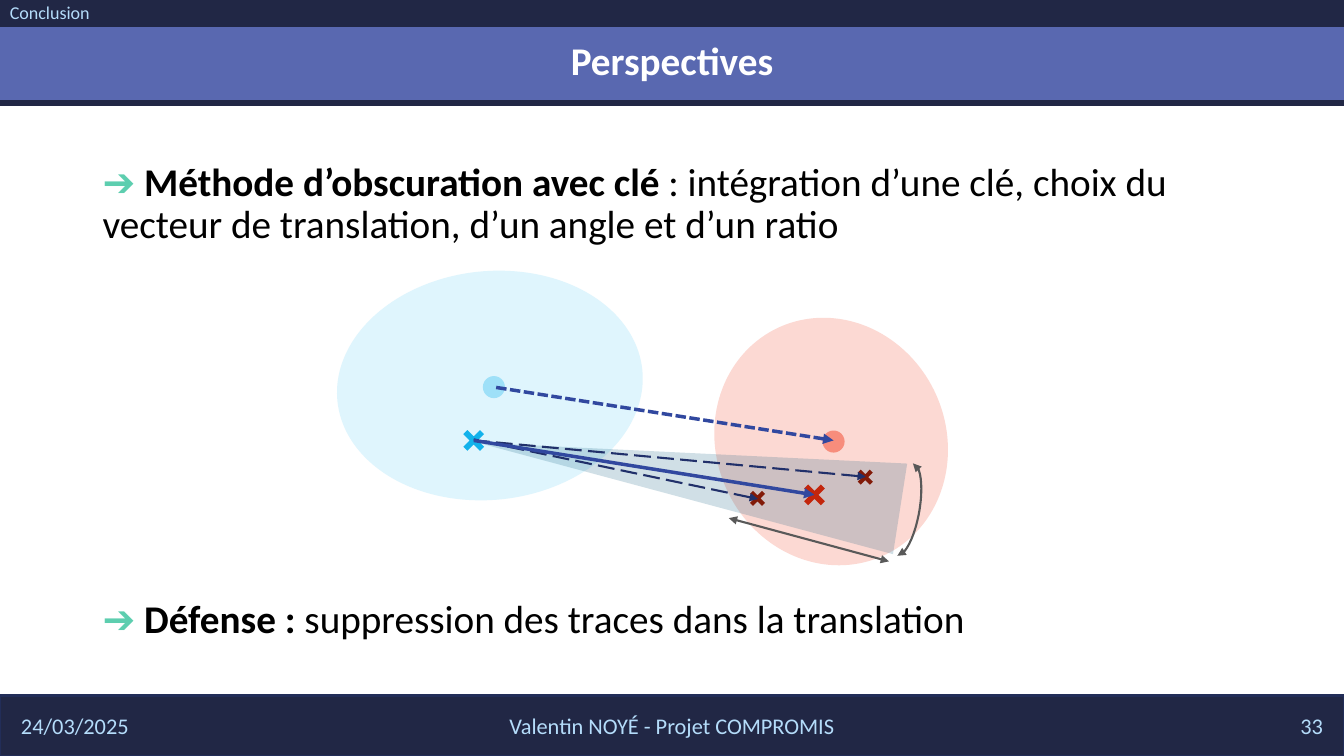
"""Builds the "Perspectives" slide on keyed obscuration and its defence."""
from pptx import Presentation
from pptx.dml.color import RGBColor
from pptx.enum.dml import MSO_LINE
from pptx.enum.shapes import MSO_CONNECTOR, MSO_SHAPE
from pptx.enum.text import MSO_ANCHOR, PP_ALIGN
from pptx.oxml.ns import qn
from pptx.util import Pt
from lxml.etree import SubElement

NAVY = RGBColor(0x21, 0x27, 0x45)
NAVY_EDGE = RGBColor(0x22, 0x2D, 0x58)
INDIGO = RGBColor(0x59, 0x68, 0xB0)
WHITE = RGBColor(0xFF, 0xFF, 0xFF)
BLACK = RGBColor(0x00, 0x00, 0x00)
MINT = RGBColor(0x5D, 0xCE, 0xAF)
PALE_BLUE = RGBColor(0xB4, 0xDC, 0xFA)
BLUE_CLOUD = RGBColor(0xDF, 0xF5, 0xFD)
RED_CLOUD = RGBColor(0xFC, 0xD9, 0xD3)
BLUE_DOT = RGBColor(0x9E, 0xE0, 0xF8)
RED_DOT = RGBColor(0xF7, 0x8D, 0x7C)
BLUE_CROSS = RGBColor(0x12, 0xB2, 0xEB)
RED_CROSS = RGBColor(0xC3, 0x26, 0x0C)
DARK_CROSS = RGBColor(0x82, 0x1A, 0x08)
TEAL = RGBColor(0x15, 0x60, 0x82)
VECTOR = RGBColor(0x31, 0x48, 0x9F)
DARK_VECTOR = RGBColor(0x21, 0x30, 0x6A)
GREY = RGBColor(0x59, 0x59, 0x59)

WIDTH, HEIGHT = 960, 540
FOOTER_TOP, FOOTER_HEIGHT = 504, 28.8
MARGIN = 7.9

BULLETS = [
    (112.3, 75, "Méthode d’obscuration avec clé ",
     ": intégration d’une clé, choix du vecteur de translation, d’un angle et d’un ratio"),
    (424.4, 40, "Défense : ", "suppression des traces dans la translation"),
]
FOOTER = [
    ("24/03/2025", MARGIN, 216, PP_ALIGN.LEFT),
    ("Valentin NOYÉ - Projet COMPROMIS", 318, 324, PP_ALIGN.CENTER),
    ("33", WIDTH - MARGIN - 216, 216, PP_ALIGN.RIGHT),
]
BANDS = [
    ((0, 496.8, WIDTH, 43.2), NAVY, NAVY_EDGE, 1.5),
    ((-6.5, 17.3, WIDTH + 13, 56.2), INDIGO, NAVY, 4.5),
    ((0, 0, WIDTH, 18), NAVY, None, 0),
]
CLOUDS = [
    ((240.5, 193.7, 218.9, 163.4), 354.1, BLUE_CLOUD),
    ((504, 233.3, 179.3, 164.2), 65.4, RED_CLOUD),
]
DOTS = [((352.8, 276.5), BLUE_DOT), ((595.4, 315.4), RED_DOT)]
CROSSES = [
    ((581.8, 353.5), 23, RED_CROSS),
    ((338.4, 314.6), 23, BLUE_CROSS),
    ((541.1, 356), 16.6, DARK_CROSS),
    ((618.1, 340.9), 16.6, DARK_CROSS),
]
CENTRE_VECTOR = ((595.4, 314.6), (352.8, 276.5), VECTOR, 2.5, MSO_LINE.SQUARE_DOT, ["headEnd"])
VECTORS = [
    ((618.5, 340.6), (339.1, 314.6), DARK_VECTOR, 1.5, MSO_LINE.LONG_DASH, ["headEnd"]),
    ((541.4, 356.4), (338.4, 313.9), DARK_VECTOR, 1.5, MSO_LINE.LONG_DASH, ["headEnd"]),
    ((581.8, 353.5), (338.4, 314.6), VECTOR, 2.5, None, ["headEnd"]),
    ((520.6, 370.1), (635, 401), GREY, 1.5, None, ["headEnd", "tailEnd"]),
]


def add_text(page, frame, runs, size=16, align=PP_ALIGN.LEFT, anchor=MSO_ANCHOR.MIDDLE, spacing=1.0):
    box = page.shapes.add_textbox(*map(Pt, frame))
    box.text_frame.word_wrap = True
    box.text_frame.vertical_anchor = anchor
    para = box.text_frame.paragraphs[0]
    para.alignment, para.line_spacing = align, spacing
    for text, color, bold in runs:
        span = para.add_run()
        span.text = text
        span.font.name, span.font.size, span.font.bold = "Calibri", Pt(size), bold
        span.font.color.rgb = color


def add_figure(page, kind, frame, fill=None, edge=None, weight=0, turn=0, adjust=()):
    shape = page.shapes.add_shape(kind, *map(Pt, frame))
    shape.shadow.inherit = False
    shape.rotation = turn
    for index, value in enumerate(adjust):
        shape.adjustments[index] = value
    if fill is None:
        shape.fill.background()
    else:
        shape.fill.solid()
        shape.fill.fore_color.rgb = fill
    if edge is None:
        shape.line.fill.background()
    else:
        shape.line.color.rgb, shape.line.width = edge, Pt(weight)
    return shape


def add_arrowheads(shape, ends):
    outline = shape.element.spPr.find(qn("a:ln"))
    for end in ends:
        SubElement(outline, qn(f"a:{end}"), type="triangle")


def add_vector(page, start, stop, color, weight, dash, ends):
    arrow = page.shapes.add_connector(MSO_CONNECTOR.STRAIGHT, *map(Pt, start + stop))
    arrow.line.color.rgb, arrow.line.width = color, Pt(weight)
    if dash is not None:
        arrow.line.dash_style = dash
    add_arrowheads(arrow, ends)
    SubElement(arrow.element.spPr, qn("a:effectLst"))


def centred(centre, size):
    return centre[0] - size / 2, centre[1] - size / 2, size, size


def main():
    deck = Presentation()
    deck.slide_width, deck.slide_height = Pt(WIDTH), Pt(HEIGHT)
    page = deck.slides.add_slide(deck.slide_layouts[6])

    for frame, fill, edge, weight in BANDS:
        add_figure(page, MSO_SHAPE.RECTANGLE, frame, fill, edge, weight)
    add_text(page, (0, -7.2, WIDTH, 104.4), [("Perspectives", WHITE, True)],
             size=28, align=PP_ALIGN.CENTER, spacing=0.9)
    add_text(page, (0, 0, 507, 20.9), [("Conclusion", PALE_BLUE, False)], size=12.9, spacing=0.8)
    for top, height, lead, detail in BULLETS:
        add_text(page, (66.2, top, 828, height),
                 [("➔ ", MINT, True), (lead, BLACK, True), (detail, BLACK, False)],
                 size=28, anchor=MSO_ANCHOR.TOP, spacing=0.9)
    for text, left, width, align in FOOTER:
        add_text(page, (left, FOOTER_TOP, width, FOOTER_HEIGHT), [(text, PALE_BLUE, False)], align=align)

    for frame, turn, fill in CLOUDS:
        add_figure(page, MSO_SHAPE.OVAL, frame, fill, turn=turn)
    cone = add_figure(page, MSO_SHAPE.ISOSCELES_TRIANGLE, (459.4, 187.2, 65.5, 305.3), TEAL, turn=278.9)
    cone_color = cone.element.spPr.find(qn("a:solidFill")).find(qn("a:srgbClr"))
    SubElement(cone_color, qn("a:alpha"), val="20000")
    for centre, fill in DOTS:
        add_figure(page, MSO_SHAPE.OVAL, centred(centre, 15.8), fill)
    add_vector(page, *CENTRE_VECTOR)
    for centre, size, fill in CROSSES:
        add_figure(page, MSO_SHAPE.MATH_MULTIPLY, centred(centre, size), fill, adjust=[0.18])
    for vector in VECTORS:
        add_vector(page, *vector)
    angle = add_figure(page, MSO_SHAPE.ARC, (635.8, 330.5, 20.9, 67), edge=GREY, weight=1.5,
                       turn=10.1, adjust=[162, 53.34])
    add_arrowheads(angle, ["headEnd", "tailEnd"])

    deck.save("out.pptx")


if __name__ == "__main__":
    main()
